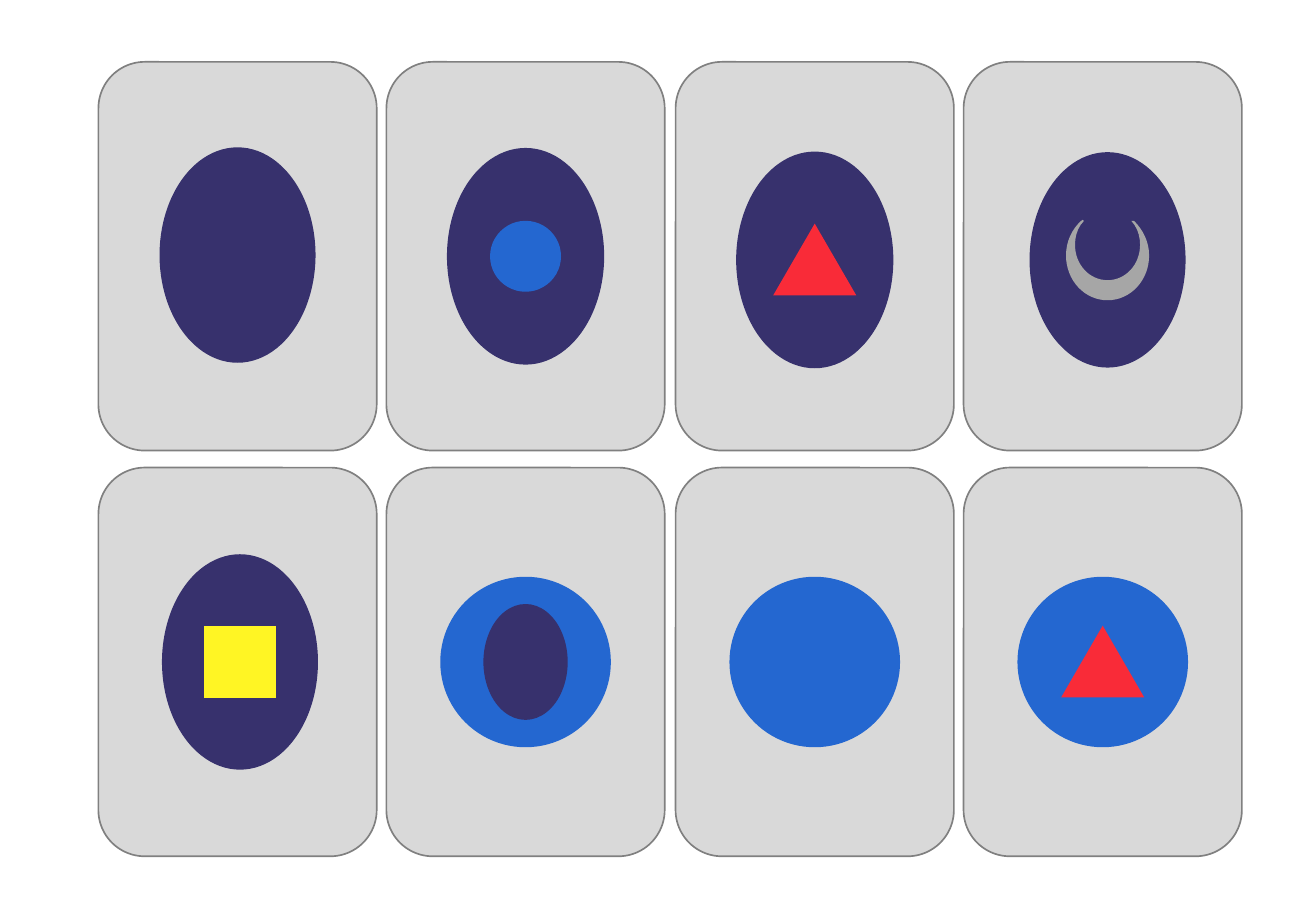
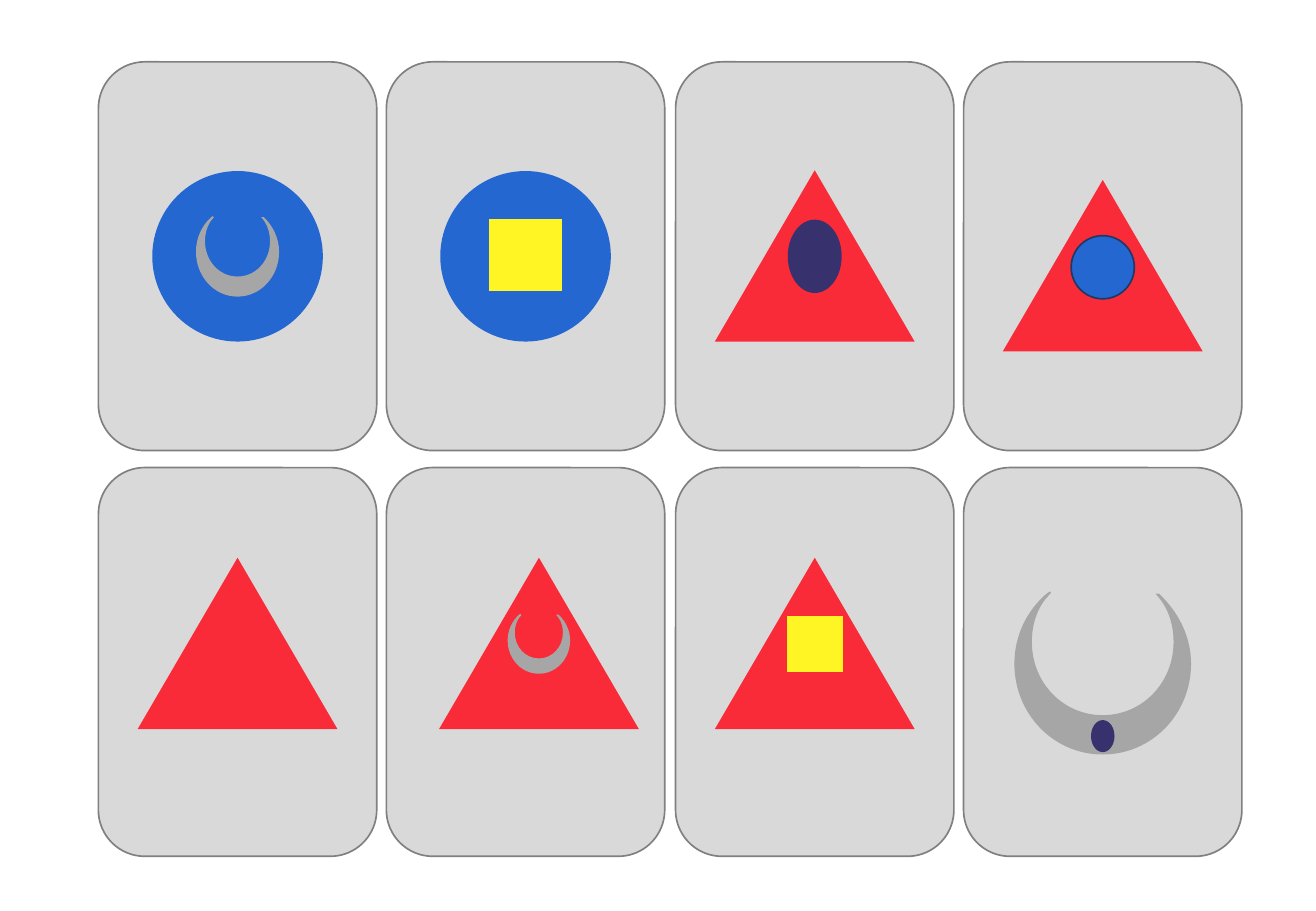
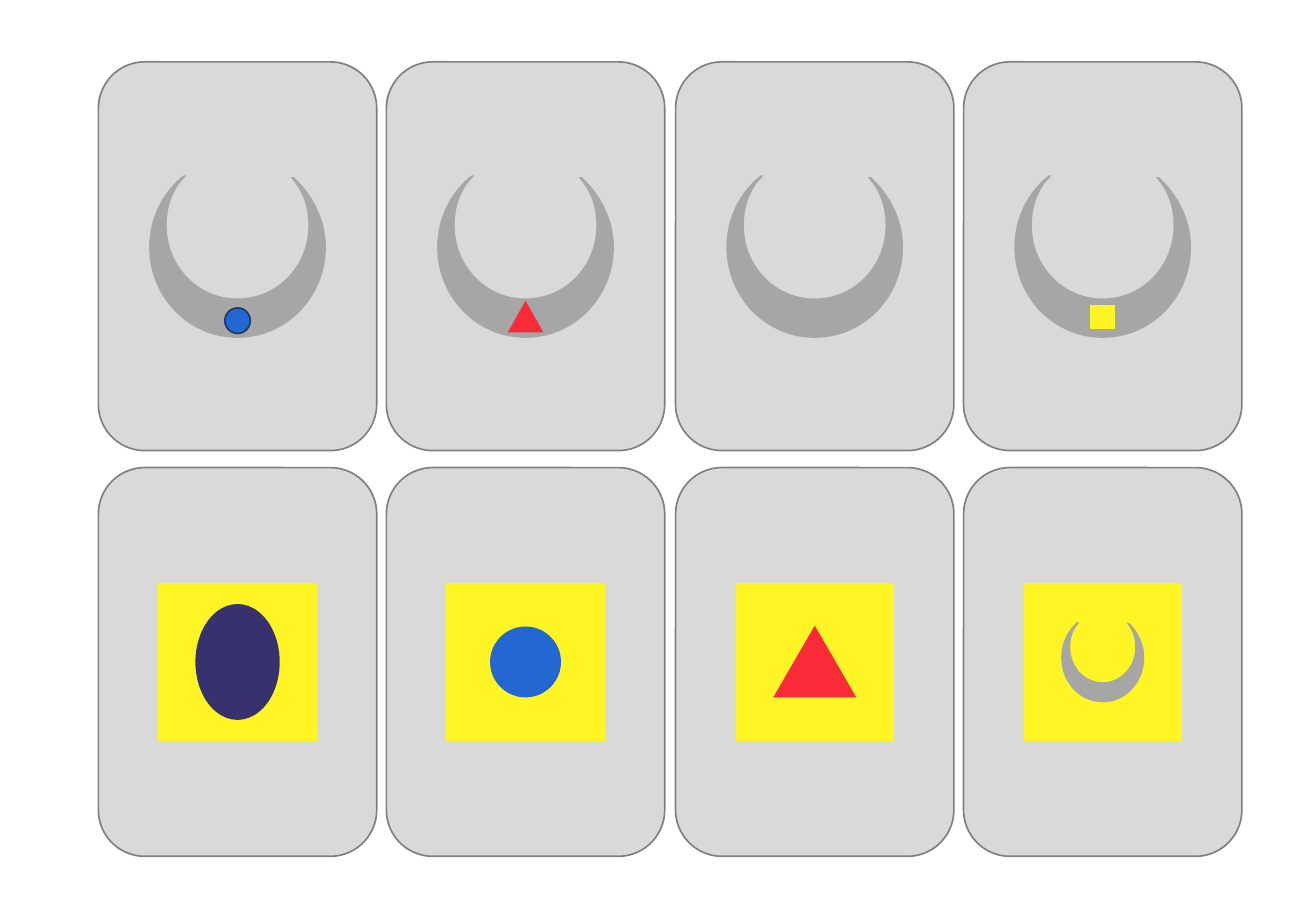
from dataclasses import dataclass

from lxml import etree
from pptx import Presentation
from pptx.dml.color import RGBColor
from pptx.enum.shapes import MSO_SHAPE
from pptx.oxml.ns import qn
from pptx.shapes.autoshape import Shape
from pptx.shapes.shapetree import GroupShapes
from pptx.slide import Slide
from pptx.util import Pt

PX = 9144
PAGE_WIDTH, PAGE_HEIGHT = 1083, 750
CARD_WIDTH, CARD_HEIGHT = 229, 320
FIRST_LEFT, LAST_LEFT = 81, 793
FIRST_TOP, ROW_PITCH = 51, 334
COLUMNS = 4
BLANK_LAYOUT = 6

ROUNDED = MSO_SHAPE.ROUNDED_RECTANGLE
OVAL, DISC, TRIANGLE, SQUARE, MOON = "oval", "disc", "triangle", "square", "moon"
PRESETS = {
    OVAL: MSO_SHAPE.OVAL,
    DISC: MSO_SHAPE.OVAL,
    TRIANGLE: MSO_SHAPE.ISOSCELES_TRIANGLE,
    SQUARE: MSO_SHAPE.RECTANGLE,
}
COLOURS = {
    "card": "D9D9D9",
    "card edge": "808080",
    "disc edge": "203864",
    OVAL: "37316D",
    DISC: "2467D0",
    TRIANGLE: "F92B38",
    SQUARE: "FFF524",
    MOON: "A6A6A6",
}

Point = tuple[int, int]
MOON_WIDTH, MOON_HEIGHT = 144, 133
MOON_START: Point = (29, 0)
MOON_SEGMENTS: list[list[Point]] = [
    [(23, 7)],
    [(16, 17), (13, 29), (13, 41)],
    [(13, 75), (39, 102), (72, 102)],
    [(105, 102), (131, 75), (131, 41)],
    [(131, 29), (128, 17), (121, 7)],
    [(117, 2)],
    [(118, 2)],
    [(133, 16), (144, 36), (144, 59)],
    [(144, 100), (112, 133), (72, 133)],
    [(32, 133), (0, 100), (0, 59)],
    [(0, 36), (10, 16), (26, 2)],
]


@dataclass(frozen=True)
class Symbol:
    kind: str
    width: int
    height: int
    right: int = 0
    down: int = 0
    edge: str = ""


def oval(width: int, height: int, right: int = 0, down: int = 0) -> Symbol:
    return Symbol(OVAL, width, height, right, down)


def disc(size: int, down: int = 0, edge: str = "") -> Symbol:
    return Symbol(DISC, size, size, 0, down, edge)


def triangle(width: int, height: int, right: int = 0, down: int = 0) -> Symbol:
    return Symbol(TRIANGLE, width, height, right, down)


def square(size: int, right: int = 0, down: int = 0) -> Symbol:
    return Symbol(SQUARE, size, size, right, down)


def moon(width: int, height: int, right: int = 0, down: int = 0) -> Symbol:
    return Symbol(MOON, width, height, right, down)


BIG_DISC = disc(139)
BIG_MOON = moon(144, 133)
BIG_SQUARE = square(129)
SMALL_OVAL = oval(68, 94)
SMALL_DISC = disc(57)
SMALL_TRIANGLE = triangle(66, 57)
SMALL_MOON = moon(67, 65)

PAGES: list[list[list[Symbol]]] = [
    [
        [oval(127, 176, down=-1)],
        [oval(128, 177), SMALL_DISC],
        [oval(128, 177, down=3), triangle(66, 57, down=3)],
        [oval(127, 176, 4, 3), moon(67, 65, 4, 3)],
        [oval(127, 176, 2), square(58, 2)],
        [BIG_DISC, SMALL_OVAL],
        [BIG_DISC],
        [BIG_DISC, SMALL_TRIANGLE],
    ],
    [
        [BIG_DISC, SMALL_MOON],
        [BIG_DISC, square(58, down=-1)],
        [triangle(162, 139), oval(43, 59)],
        [triangle(162, 139, down=8), disc(52, 9, "disc edge")],
        [triangle(162, 139, down=-15)],
        [triangle(162, 139, 11, -15), moon(50, 48, 11, -15)],
        [triangle(162, 139, down=-15), square(45, down=-15)],
        [moon(144, 133, down=9), oval(18, 25, down=61)],
    ],
    [
        [BIG_MOON, disc(21, 53, "disc edge")],
        [BIG_MOON, triangle(27, 24, down=50)],
        [BIG_MOON],
        [BIG_MOON, square(19, down=50)],
        [BIG_SQUARE, SMALL_OVAL],
        [BIG_SQUARE, SMALL_DISC],
        [BIG_SQUARE, SMALL_TRIANGLE],
        [BIG_SQUARE, SMALL_MOON],
    ],
]


def paint(shape: Shape, fill: str, edge: str) -> None:
    shape.shadow.inherit = False
    shape.fill.solid()
    shape.fill.fore_color.rgb = RGBColor.from_string(COLOURS[fill])
    shape.line.color.rgb = RGBColor.from_string(COLOURS[edge])
    shape.line.width = Pt(1)
    outline = next(shape.element.iter(qn("a:ln")))
    etree.SubElement(outline, qn("a:miter"), lim="800000")


def add_moon(shapes: GroupShapes, left: int, top: int, width: int, height: int) -> Shape:
    scale = (width / MOON_WIDTH, height / MOON_HEIGHT)
    builder = shapes.build_freeform(*MOON_START, scale=scale)
    builder.add_line_segments([segment[-1] for segment in MOON_SEGMENTS], close=True)
    shape = builder.convert_to_shape(left, top)
    steps = list(shape.element.iter(qn("a:lnTo")))
    for step, segment in zip(steps, MOON_SEGMENTS):
        controls = segment[:-1]
        if controls:
            step.tag = qn("a:cubicBezTo")
        for index, (x, y) in enumerate(controls):
            step.insert(index, etree.Element(qn("a:pt"), x=str(x), y=str(y)))
    return shape


def add_symbol(shapes: GroupShapes, symbol: Symbol, card_left: int, card_top: int) -> None:
    width, height = symbol.width * PX, symbol.height * PX
    left = (card_left + symbol.right) * PX + (CARD_WIDTH * PX - width) // 2
    top = (card_top + symbol.down) * PX + (CARD_HEIGHT * PX - height) // 2
    if symbol.kind == MOON:
        shape = add_moon(shapes, left, top, width, height)
    else:
        shape = shapes.add_shape(PRESETS[symbol.kind], left, top, width, height)
    paint(shape, symbol.kind, symbol.edge or symbol.kind)


def add_card(page: Slide, index: int, symbols: list[Symbol]) -> None:
    row, column = divmod(index, COLUMNS)
    left = FIRST_LEFT + round((LAST_LEFT - FIRST_LEFT) * column / (COLUMNS - 1))
    top = FIRST_TOP + row * ROW_PITCH
    shapes = page.shapes.add_group_shape().shapes
    card = shapes.add_shape(ROUNDED, left * PX, top * PX, CARD_WIDTH * PX, CARD_HEIGHT * PX)
    paint(card, "card", "card edge")
    for symbol in symbols:
        add_symbol(shapes, symbol, left, top)


def main() -> None:
    deck = Presentation()
    deck.slide_width = PAGE_WIDTH * PX
    deck.slide_height = PAGE_HEIGHT * PX
    for cards in PAGES:
        page = deck.slides.add_slide(deck.slide_layouts[BLANK_LAYOUT])
        for index, symbols in enumerate(cards):
            add_card(page, index, symbols)
    deck.save("out.pptx")


if __name__ == "__main__":
    main()
